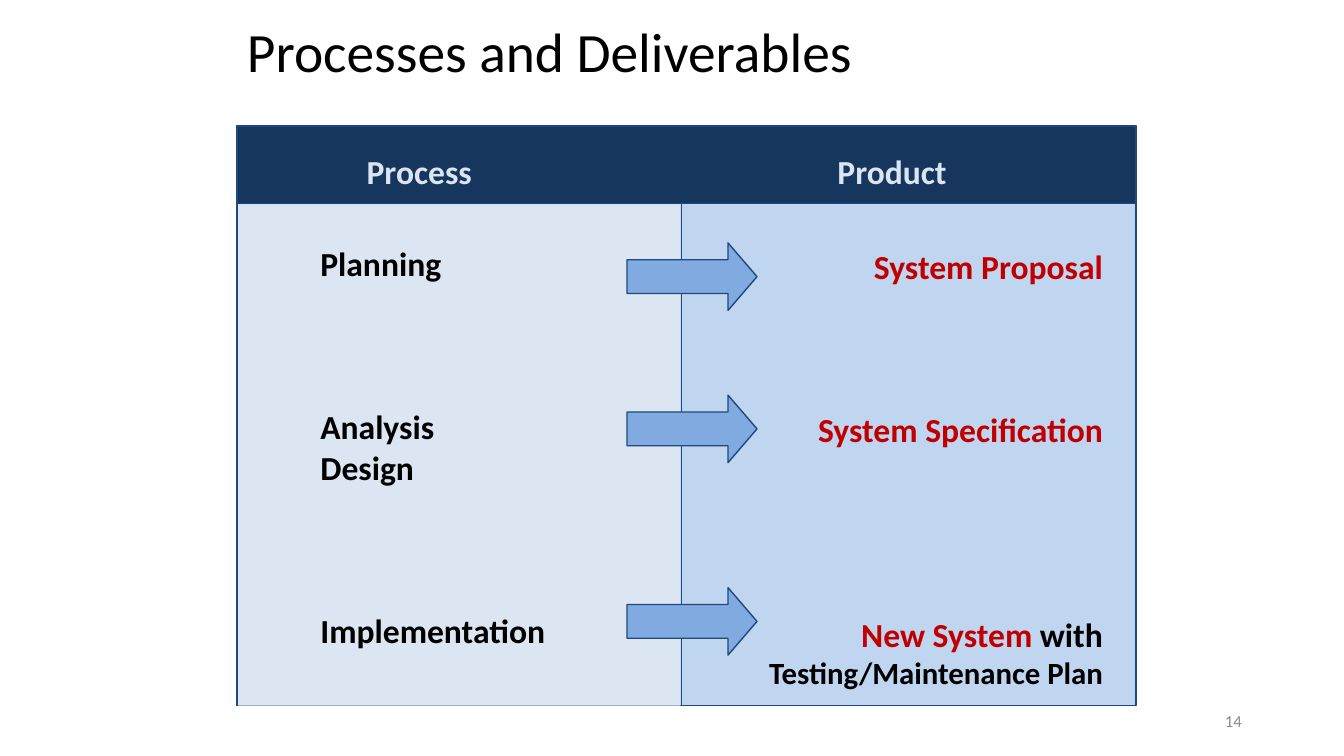
"""Builds the slide that pairs each development process with its deliverable."""
from lxml import etree
from pptx import Presentation
from pptx import util as u
from pptx.dml.color import RGBColor
from pptx.enum import shapes, text
from pptx.oxml.ns import qn

COLORS = {
    "ink": "000000", "outline": "1F497D", "header": "17365D", "header_text": "DBE5F1",
    "process": "DCE6F2", "product": "C0D5EF", "arrow": "81ABE0",
    "deliverable": "C00000", "page": "8C8C8C",
}
LEFT, TOP, WIDTH, HEIGHT = 169.2, 90, 642.24, 414
HEADER_HEIGHT = 55.44
BOTTOM = TOP + HEIGHT
LINE = 29.3
ALIGN = text.PP_ALIGN


def color(name):
    """Return the palette colour called name."""
    return RGBColor.from_string(COLORS[name])


def points(*lengths):
    """Convert lengths in points to slide units."""
    return [u.Pt(length) for length in lengths]


def apply_format(target, values):
    """Set every attribute in values on target."""
    for name, value in values.items():
        setattr(target, name, value)


def write_runs(paragraph, runs, size, bold):
    """Add (words, colour, optional size) runs to a paragraph."""
    for words, tint, *own_size in runs:
        run = paragraph.add_run()
        run.text = words
        run_size = own_size[0] if own_size else size
        apply_format(run.font, {"name": "Calibri", "size": u.Pt(run_size), "bold": bold})
        run.font.color.rgb = color(tint)


def fill_frame(frame, paragraphs, size, align, bold=True, wrap=True):
    """Write (space before, runs) paragraphs into a text frame."""
    apply_format(frame, {
        "auto_size": text.MSO_AUTO_SIZE.NONE,
        "word_wrap": wrap,
        "vertical_anchor": text.MSO_ANCHOR.MIDDLE,
    })
    for index, (gap, runs) in enumerate(paragraphs):
        paragraph = frame.add_paragraph() if index else frame.paragraphs[0]
        apply_format(paragraph, {"alignment": align, "space_before": u.Pt(gap)})
        write_runs(paragraph, runs, size, bold)


def add_title(slide, words):
    """Place and format the slide title."""
    title = slide.shapes.title
    apply_format(title, dict(zip(("left", "top", "width", "height"),
                                 points(LEFT, 12.24, 669.6, 54))))
    fill_frame(title.text_frame, [(0, [(words, "ink")])], 39.6, ALIGN.LEFT, bold=False)
    title.text_frame.paragraphs[0].line_spacing = 0.9


def add_label(slide, box, paragraphs, size=24, align=ALIGN.LEFT, **options):
    """Add a text box holding the given paragraphs."""
    label = slide.shapes.add_textbox(*points(*box))
    fill_frame(label.text_frame, paragraphs, size, align, **options)


def add_block(slide, kind, box, fill, outlined=True):
    """Add a filled preset shape and return it."""
    block = slide.shapes.add_shape(kind, *points(*box))
    block.shadow.inherit = False
    block.fill.solid()
    block.fill.fore_color.rgb = color(fill)
    if outlined:
        block.line.color.rgb = color("outline")
        block.line.width = u.Pt(1)
    else:
        block.line.fill.background()
    return block


def add_divider(slide, x):
    """Draw a vertical line from the header down to the bottom edge."""
    divider = slide.shapes.add_connector(
        shapes.MSO_CONNECTOR.STRAIGHT, *points(x, TOP + HEADER_HEIGHT, x, BOTTOM))
    divider.line.color.rgb = color("outline")
    divider.line.width = u.Pt(1)
    etree.SubElement(divider._element.spPr, qn("a:effectLst"))


def main():
    """Build and save the slide."""
    deck = Presentation()
    deck.slide_width, deck.slide_height = points(960, 540)
    slide = deck.slides.add_slide(deck.slide_layouts[5])

    add_title(slide, "Processes and Deliverables")
    add_label(slide, (678.24, 500.4, 216, 28.8), [(0, [("14", "page")])],
              size=12, align=ALIGN.RIGHT, bold=False)

    rectangle = shapes.MSO_SHAPE.RECTANGLE
    add_block(slide, rectangle, (LEFT, TOP, WIDTH, HEIGHT), "product")
    add_block(slide, rectangle, (LEFT, 146.16, 316.8, BOTTOM - 146.16), "process", outlined=False)
    add_block(slide, rectangle, (LEFT, TOP, WIDTH, HEADER_HEIGHT), "header")

    for heading, x, width in (("Process", 254.16, 90.72), ("Product", 590.4, 93.6)):
        add_label(slide, (x, 103.68, width, 36.72), [(0, [(heading, "header_text")])],
                  align=ALIGN.CENTER, wrap=False)

    processes = [("Planning", 0), ("Analysis", 3), ("Design", 0), ("Implementation", 3)]
    add_label(slide, (221.76, 169.92, 177.84, 298.08),
              [(lines * LINE, [(name, "ink")]) for name, lines in processes])
    add_label(slide, (517.68, 172.08, 277.2, 324.72), [
        (0, [("System Proposal", "deliverable")]),
        (3 * LINE, [("System Specification", "deliverable")]),
        (4 * LINE, [("New System ", "deliverable"), ("with ", "ink"),
                    ("Testing/Maintenance Plan", "ink", 22)]),
    ], align=ALIGN.RIGHT)

    for x in (LEFT, 486.72):
        add_divider(slide, x)
    for y in (173.52, 282.24, 419.76):
        arrow = add_block(slide, shapes.MSO_SHAPE.RIGHT_ARROW, (447.84, y, 92.88, 48.24), "arrow")
        arrow.adjustments[1] = 0.43

    deck.save("out.pptx")


if __name__ == "__main__":
    main()
